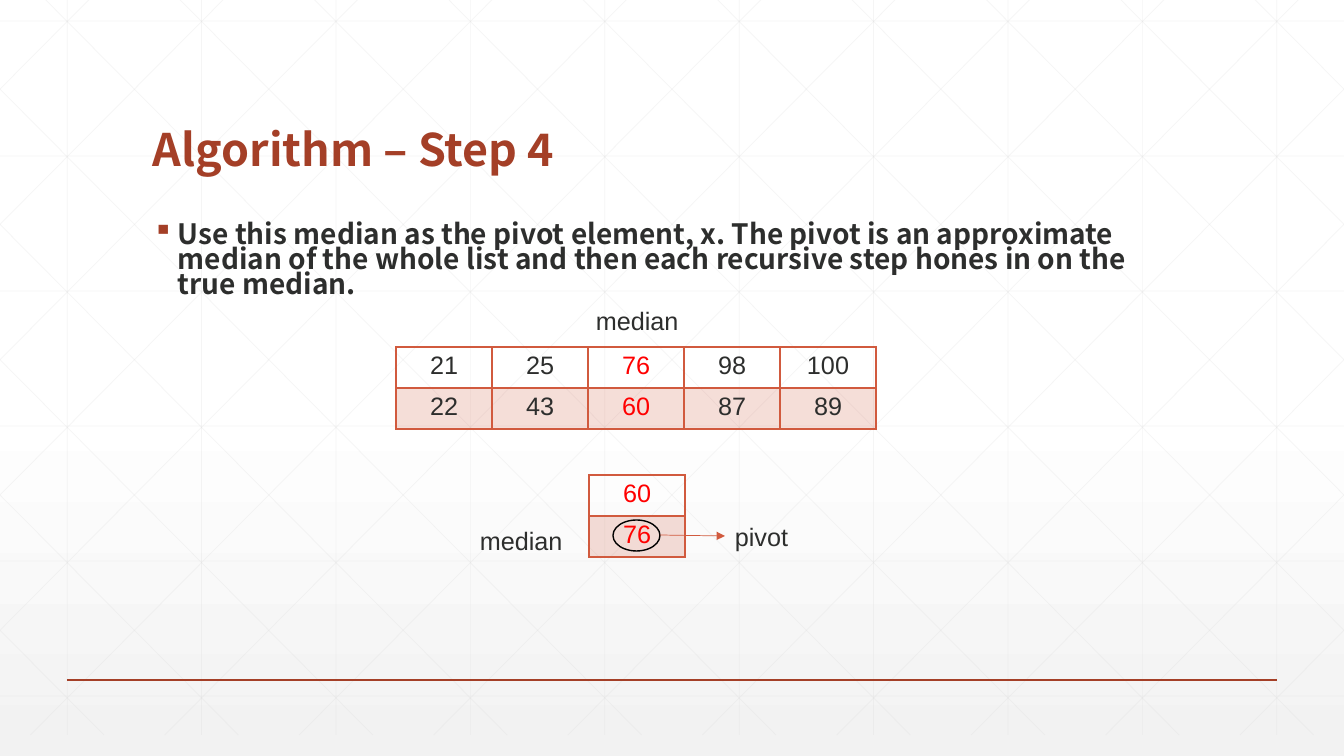
from copy import deepcopy
from typing import NamedTuple

from lxml import etree
from pptx import Presentation
from pptx import util as u
from pptx.dml.color import RGBColor
from pptx.enum import shapes, text
from pptx.oxml.ns import qn

WIDTH, HEIGHT = 1344, 756
SCALE = u.Inches(1) / 100.8
RUST, CORAL, INK, RED = "A43F27", "D15A3E", "2D2E2D", "FF0000"
HEADING_FONT, LABEL_FONT = "Noto Sans CJK TC", "Arial"
GRID_TOP, GRID_BOTTOM, GRID_PITCH = -21, 735, 134.4
DIAGONAL_RUN = 751


class Label(NamedTuple):
    """A short caption beside a table."""
    words: str
    left: int
    top: int
    width: int


class NumberGrid(NamedTuple):
    """A two-row table of numbers with its medians in one column."""
    left: int
    top: int
    rows: list[list[int]]
    median_column: int


LABELS = [Label("median", 586, 300, 117), Label("median", 470, 520, 117),
          Label("pivot", 725, 516, 75)]
GRIDS = [NumberGrid(396, 347, [[21, 25, 76, 98, 100], [22, 43, 60, 87, 89]], 2),
         NumberGrid(589, 475, [[60], [76]], 0)]
CELL_WIDTH, CELL_HEIGHT = 96, 41


def px(length: float) -> u.Emu:
    """Turn pixels into EMU."""
    return u.Emu(round(length * SCALE))


def colour(value: str) -> RGBColor:
    """Read a hex colour."""
    return RGBColor.from_string(value)


def child(parent, tag: str, **attributes: str):
    """Append a drawing element to a parent."""
    return etree.SubElement(parent, qn(tag), attributes)


def set_alpha(element, percent: int) -> None:
    """Make the colours inside an element partly opaque."""
    for solid in element.iter(qn("a:srgbClr")):
        child(solid, "a:alpha", val=str(percent * 1000))


def set_font(paragraph, name: str, size: int, hue: str, bold: bool = False) -> None:
    """Set the font of a whole paragraph."""
    font = paragraph.font
    font.name, font.size, font.bold = name, u.Pt(size), bold
    font.color.rgb = colour(hue)


def add_line(slide, start: tuple, end: tuple, hue: str, points: float):
    """Draw a straight line without a shadow."""
    line = slide.shapes.add_connector(
        shapes.MSO_CONNECTOR.STRAIGHT, *map(px, (*start, *end)))
    line.line.color.rgb = colour(hue)
    line.line.width = u.Pt(points)
    child(line._element.spPr, "a:effectLst")
    return line


def add_text(slide, words: str, left: int, top: int, width: int, height: int,
             wrap: bool = True):
    """Add a text box and return its frame and paragraph."""
    frame = slide.shapes.add_textbox(*map(px, (left, top, width, height))).text_frame
    frame.word_wrap = wrap
    frame.text = words
    return frame, frame.paragraphs[0]


def paint_background(slide) -> None:
    """Fade the background from white to light grey."""
    fill = slide.background.fill
    fill.gradient()
    fill.gradient_angle = 270
    first = fill.gradient_stops[0]._gs
    first.addnext(deepcopy(first))
    for stop, position, hue in zip(fill.gradient_stops, (0, 0.53, 1),
                                   ("FFFFFF", "FFFFFF", "F2F2F2")):
        stop.position = position
        stop.color.rgb = colour(hue)


def diagonal(top_x: float) -> tuple:
    """Clip a falling diagonal to the slide's sides."""
    slope = (GRID_BOTTOM - GRID_TOP) / DIAGONAL_RUN
    left, right = max(top_x, 0), min(top_x + DIAGONAL_RUN, WIDTH)
    return ((left, GRID_TOP + (left - top_x) * slope),
            (right, GRID_TOP + (right - top_x) * slope))


def draw_lattice(slide) -> None:
    """Draw the faint lattice behind the content."""
    columns = [GRID_PITCH * (i + 0.5) for i in range(10)]
    lattice = [((x, GRID_TOP), (x, GRID_BOTTOM)) for x in columns]
    lattice += [((0, y), (WIDTH, y)) for y in range(21, HEIGHT, 135)]
    for i in range(-5, 10):
        start, end = diagonal(25 + GRID_PITCH * i)
        lattice.append((start, end))
        lattice.append(((WIDTH - start[0], start[1]), (WIDTH - end[0], end[1])))
    for start, end in lattice:
        set_alpha(add_line(slide, start, end, "D9D9D9", 0.5)._element.spPr, 25)


def add_bullet(paragraph, mark: str, hue: str, indent: int) -> None:
    """Give a paragraph a coloured hanging bullet."""
    properties = paragraph._p.get_or_add_pPr()
    properties.set("marL", str(px(indent)))
    properties.set("indent", str(-px(indent)))
    bullet_colour = etree.Element(qn("a:buClr"))
    child(bullet_colour, "a:srgbClr", val=hue)
    bullet = etree.Element(qn("a:buChar"), char=mark)
    properties.find(qn("a:lnSpc")).addnext(bullet_colour)
    bullet_colour.addnext(bullet)


def add_borders(cell, bottom: int) -> None:
    """Outline a cell, with its own bottom weight."""
    properties = cell._tc.get_or_add_tcPr()
    for place, side in enumerate("LRTB"):
        weight = bottom if side == "B" else 1
        border = etree.Element(qn(f"a:ln{side}"), w=str(u.Pt(weight)))
        child(child(border, "a:solidFill"), "a:srgbClr", val=CORAL)
        properties.insert(place, border)


def add_grid(slide, grid: NumberGrid) -> None:
    """Draw a number table with a tinted second row."""
    rows, columns = len(grid.rows), len(grid.rows[0])
    table = slide.shapes.add_table(
        rows, columns, px(grid.left), px(grid.top),
        px(CELL_WIDTH * columns), px(CELL_HEIGHT * rows)).table
    table.first_row = table.horz_banding = False
    for r, numbers in enumerate(grid.rows):
        for c, number in enumerate(numbers):
            cell = table.cell(r, c)
            cell.text = str(number)
            paragraph = cell.text_frame.paragraphs[0]
            paragraph.alignment = text.PP_ALIGN.CENTER
            set_font(paragraph, LABEL_FONT, 18, RED if c == grid.median_column else INK)
            if r == 0:
                cell.fill.background()
            else:
                cell.fill.solid()
                cell.fill.fore_color.rgb = colour(CORAL)
                set_alpha(cell._tc.tcPr, 20)
            add_borders(cell, 2 if r == 0 else 1)


def add_pivot_mark(slide) -> None:
    """Circle the pivot and point to its label."""
    ring = slide.shapes.add_shape(shapes.MSO_SHAPE.OVAL, *map(px, (613, 520, 47, 31)))
    ring.shadow.inherit = False
    ring.fill.background()
    ring.line.color.rgb = colour("000000")
    ring.line.width = u.Pt(1)
    arrow = add_line(slide, (660, 535), (725, 536), CORAL, 0.5)
    child(arrow.line._get_or_add_ln(), "a:tailEnd", type="triangle")


def main() -> None:
    """Build the slide and save it."""
    deck = Presentation()
    deck.slide_width, deck.slide_height = px(WIDTH), px(HEIGHT)
    slide = deck.slides.add_slide(deck.slide_layouts[6])
    paint_background(slide)
    draw_lattice(slide)
    add_line(slide, (67, 680), (1277, 680), RUST, 1)

    title_frame, title = add_text(slide, "Algorithm – Step 4", 143, 55, 1058, 126)
    title_frame.vertical_anchor = text.MSO_ANCHOR.BOTTOM
    title.line_spacing = 0.9
    set_font(title, HEADING_FONT, 32, RUST, bold=True)

    _, explanation = add_text(
        slide, "Use this median as the pivot element, x. The pivot is an approximate "
        "median of the whole list and then each recursive step hones in on the "
        "true median.", 143, 219, 1058, 420)
    explanation.line_spacing = 0.75
    set_font(explanation, HEADING_FONT, 20, INK, bold=True)
    add_bullet(explanation, "▪", RUST, 25)

    for grid in GRIDS:
        add_grid(slide, grid)
    for label in LABELS:
        _, caption = add_text(slide, label.words, label.left, label.top,
                              label.width, 40, wrap=False)
        set_font(caption, LABEL_FONT, 18, INK)
    add_pivot_mark(slide)
    deck.save("out.pptx")


main()
